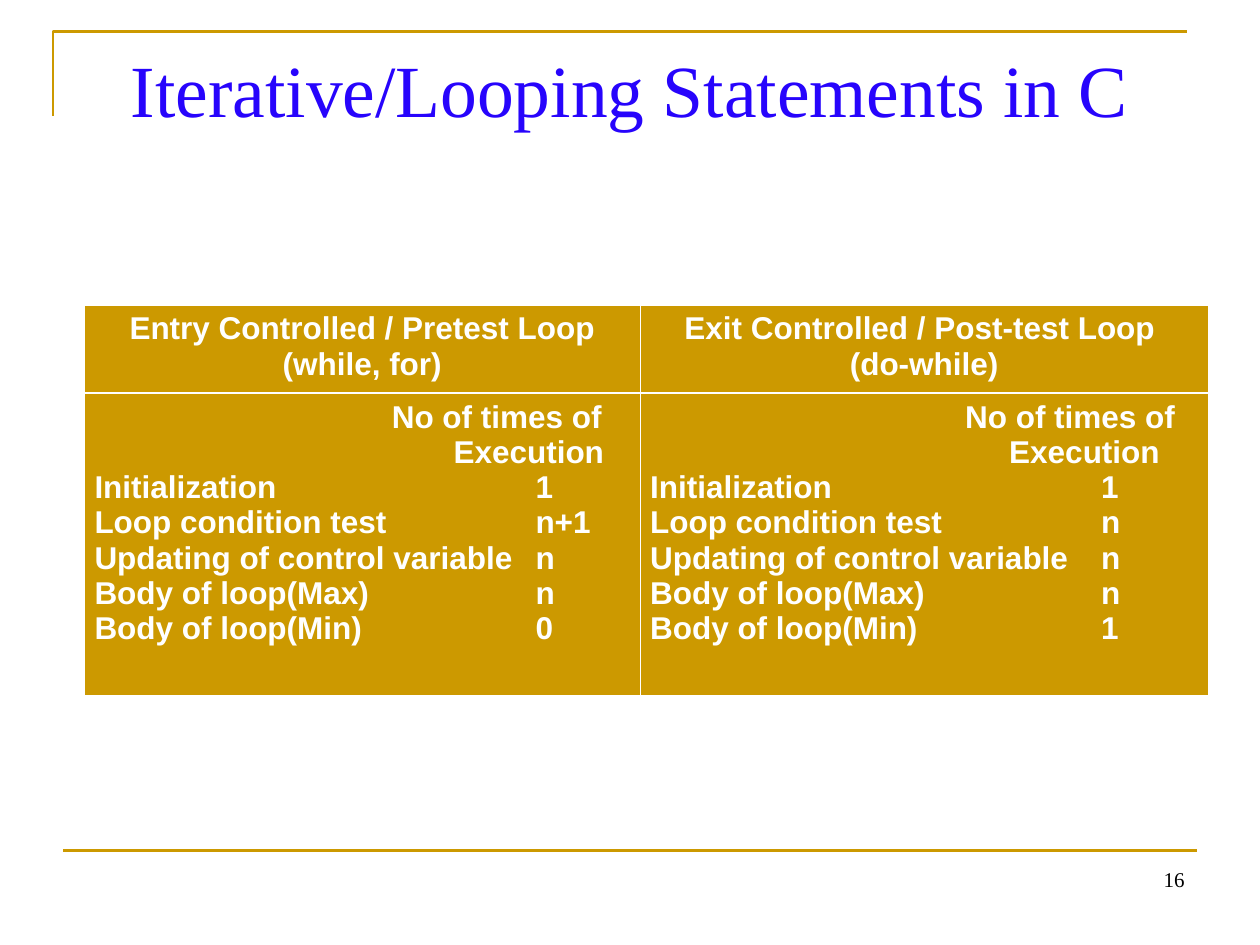
from lxml import etree
from pptx import Presentation
from pptx import util as u
from pptx.dml.color import RGBColor
from pptx.enum import shapes, text
from pptx.oxml import ns

# Content
TITLE = "Iterative/Looping Statements in C"
PAGE_NUMBER = "16"
HEADERS = [
    ["Entry Controlled / Pretest Loop (while, for)"],
    ["Exit Controlled / Post-test Loop ", "(do-while)"],
]
COUNT_HEADING = ["No of times of", "Execution"]
STEPS = [
    "Initialization",
    "Loop condition test",
    "Updating of control variable",
    "Body of loop(Max)",
    "Body of loop(Min)",
]
# Counts for each loop kind, with tab stops for the heading lines and the counts
LOOPS = [
    {"counts": ["1", "n+1", "n", "n", "0"], "heading_tabs": [2.36, 2.85], "count_tab": 3.5},
    {"counts": ["1", "n", "n", "n", "1"], "heading_tabs": [2.5, 2.85], "count_tab": 3.58},
]
COLUMN_WIDTHS = [4.41, 4.51]
ROW_HEIGHTS = [0.68, 2.4]

THEME = {
    "gold": RGBColor.from_string("CC9900"),
    "title": RGBColor.from_string("2704FC"),
    "black": RGBColor.from_string("000000"),
    "white": RGBColor.from_string("FFFFFF"),
    "serif": "Times New Roman",
    "sans": "Arial",
    "title_size": 42,
    "table_size": 18,
    "number_size": 12,
    "rule": 1.5,
    "thin_border": 0.45,
    "thick_border": 1.47,
}


def style_font(font, name, size, color, bold=False):
    font.name = THEME[name]
    font.size = u.Pt(THEME[size])
    font.color.rgb = THEME[color]
    font.bold = bold


def style_line(line):
    line.color.rgb = THEME["gold"]
    line.width = u.Pt(THEME["rule"])


def add_label(slide, box, label, alignment, size, color):
    shape = slide.shapes.add_textbox(*map(u.Inches, box))
    frame = shape.text_frame
    frame.word_wrap = True
    frame.text = label
    paragraph = frame.paragraphs[0]
    paragraph.alignment = alignment
    style_font(paragraph.runs[0].font, "serif", size, color)


def set_tab(paragraph, inches):
    tabs = etree.SubElement(paragraph._p.get_or_add_pPr(), ns.qn("a:tabLst"))
    etree.SubElement(tabs, ns.qn("a:tab"), pos=str(u.Inches(inches)), algn="l")


def set_borders(cell, widths):
    properties = cell._tc.get_or_add_tcPr()
    for side, width in widths.items():
        line = etree.SubElement(properties, ns.qn(f"a:ln{side}"), w=str(u.Pt(width)))
        fill = etree.SubElement(line, ns.qn("a:solidFill"))
        etree.SubElement(fill, ns.qn("a:srgbClr"), val=str(THEME["white"]))


def fill_cell(cell, lines, alignment, thick_side, tabs=()):
    widths = {side: THEME["thin_border"] for side in "LRTB"}
    widths[thick_side] = THEME["thick_border"]
    set_borders(cell, widths)
    cell.fill.solid()
    cell.fill.fore_color.rgb = THEME["gold"]
    cell.margin_left = cell.margin_right = u.Inches(0.08)
    cell.margin_top = cell.margin_bottom = u.Inches(0.05)
    cell.text_frame.text = "\n".join(lines)
    for paragraph, tab in zip(cell.text_frame.paragraphs, tabs):
        set_tab(paragraph, tab)
    for paragraph in cell.text_frame.paragraphs:
        paragraph.alignment = alignment
        for run in paragraph.runs:
            style_font(run.font, "sans", "table_size", "white", bold=True)


def add_frame_rules(slide):
    # Corner rule at the top left
    builder = slide.shapes.build_freeform(u.Inches(0.42), u.Inches(0.92))
    corners = [(u.Inches(x), u.Inches(0.25)) for x in (0.42, 9.42)]
    builder.add_line_segments(corners, close=False)
    corner = builder.convert_to_shape()
    corner.shadow.inherit = False
    corner.fill.background()
    style_line(corner.line)

    # Footer rule
    footer = slide.shapes.add_connector(
        shapes.MSO_CONNECTOR.STRAIGHT, *map(u.Inches, (0.5, 6.75, 9.5, 6.75)))
    etree.SubElement(footer._element.spPr, ns.qn("a:effectLst"))
    style_line(footer.line)


def add_loop_table(slide):
    box = (0.67, 2.42, sum(COLUMN_WIDTHS), sum(ROW_HEIGHTS))
    table = slide.shapes.add_table(2, len(LOOPS), *map(u.Inches, box)).table
    for row, height in zip(table.rows, ROW_HEIGHTS):
        row.height = u.Inches(height)
    for index, (header, loop) in enumerate(zip(HEADERS, LOOPS)):
        table.columns[index].width = u.Inches(COLUMN_WIDTHS[index])
        fill_cell(table.cell(0, index), header, text.PP_ALIGN.CENTER, "B")
        lines = [f"\t{line}" for line in COUNT_HEADING]
        lines += [f"{step}\t{count}" for step, count in zip(STEPS, loop["counts"])]
        tabs = loop["heading_tabs"] + [loop["count_tab"]] * len(STEPS)
        fill_cell(table.cell(1, index), lines, text.PP_ALIGN.LEFT, "T", tabs)


def main():
    presentation = Presentation()
    presentation.slide_width = u.Inches(10)
    presentation.slide_height = u.Inches(7.5)
    slide = presentation.slides.add_slide(presentation.slide_layouts[6])
    add_frame_rules(slide)
    add_label(slide, (0.5, 0.3, 9, 1.25), TITLE,
              text.PP_ALIGN.CENTER, "title_size", "title")
    add_loop_table(slide)
    add_label(slide, (7.17, 6.83, 2.33, 0.52), PAGE_NUMBER,
              text.PP_ALIGN.RIGHT, "number_size", "black")
    presentation.save("out.pptx")


if __name__ == "__main__":
    main()
